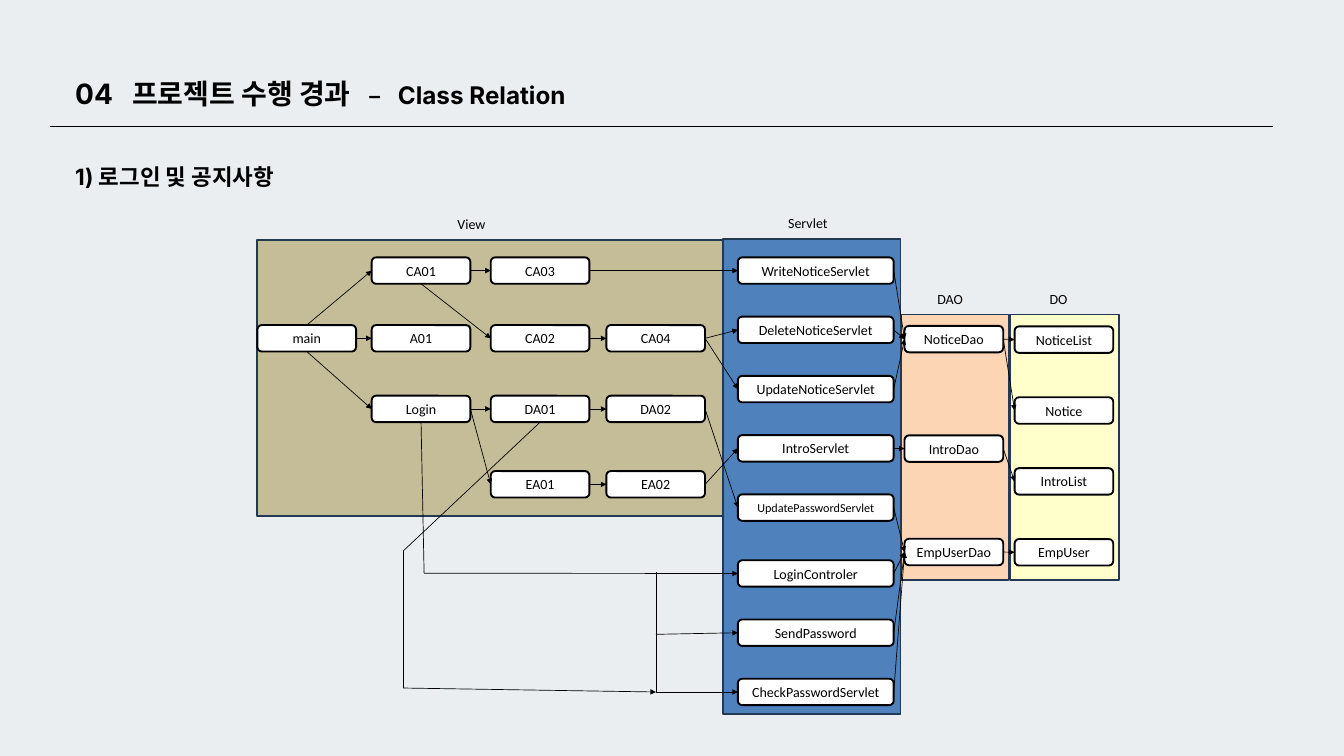
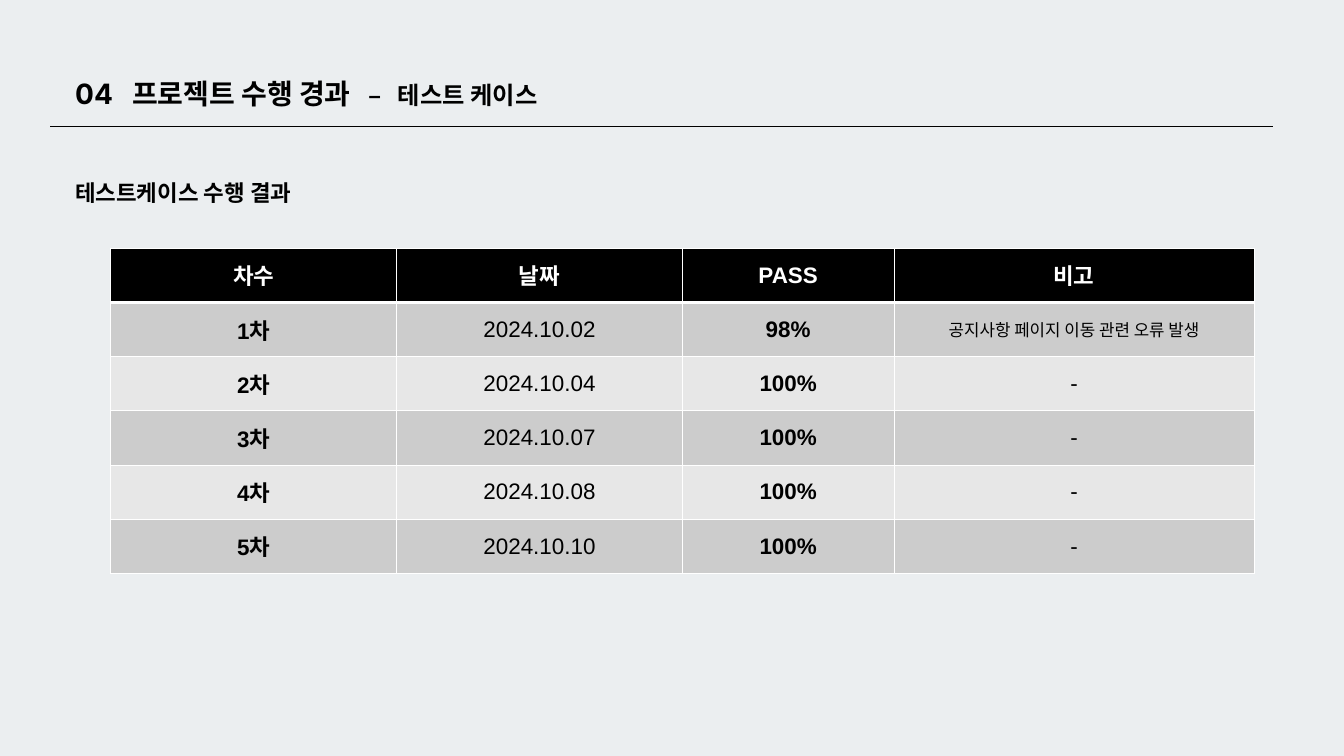
from dataclasses import dataclass
from typing import Any, NamedTuple

from lxml import etree
from pptx import Presentation
from pptx.dml.color import RGBColor
from pptx.enum.shapes import MSO_CONNECTOR, MSO_SHAPE
from pptx.enum.text import MSO_ANCHOR, MSO_AUTO_SIZE, PP_ALIGN
from pptx.oxml.ns import qn
from pptx.util import Cm, Pt

LINE = MSO_CONNECTOR.STRAIGHT
RECT = MSO_SHAPE.RECTANGLE
ROUND = MSO_SHAPE.ROUNDED_RECTANGLE
TOP = MSO_ANCHOR.TOP
MID = MSO_ANCHOR.MIDDLE
LEFT = PP_ALIGN.LEFT
MIDST = PP_ALIGN.CENTER
FIXED = MSO_AUTO_SIZE.NONE

UP, WEST, DOWN, EAST = range(4)
Point = tuple[float, float]
End = str | Point


@dataclass(frozen=True)
class Theme:
    back: str = "EBEEF0"
    ink: str = "000000"
    white: str = "FFFFFF"
    edge: str = "233953"
    view: str = "C4BD97"
    serve: str = "4F81BD"
    dao: str = "FCD5B5"
    data: str = "FFFFCC"
    bands: tuple[str, str] = ("CCCCCC", "E7E7E7")
    head: str = "Inter"
    node: str = "Calibri"
    grid: str = "Arial"
    title: int = 30
    topic: int = 26
    sub: int = 24
    cell: int = 24
    note: int = 18
    label: int = 15
    small: int = 13
    lead: int = 42
    thin: float = 0.75
    thick: float = 2


THEME = Theme()


class Area(NamedTuple):
    x: float
    y: float
    w: float
    h: float

    def cm(self) -> list[Cm]:
        return [Cm(v) for v in self]


@dataclass(frozen=True)
class Panel:
    label: str
    tag: Area
    area: Area
    fill: str


@dataclass(frozen=True)
class Node:
    name: str
    x: float
    y: float
    w: float = 3.73
    size: int = THEME.label


@dataclass(frozen=True)
class Link:
    start: End
    end: End
    side: int = EAST
    arrow: bool = True


PANELS = [
    Panel("View", Area(17.04, 8.03, 1.91, 0.89), Area(9.73, 9.07, 17.6, 10.44), THEME.view),
    Panel("DAO", Area(35.18, 10.85, 2.39, 0.89), Area(34.06, 11.89, 4.06, 10.03), THEME.dao),
    Panel("DO", Area(39.42, 10.85, 2.39, 0.89), Area(38.18, 11.89, 4.11, 10.03), THEME.data),
    Panel("Servlet", Area(29.54, 8, 4.75, 0.89), Area(27.33, 9.04, 6.71, 17.96), THEME.serve),
]

VIEW_X = (9.73, 14.05, 18.55, 22.92)
VIEWS = [
    (9.73, [None, "CA01", "CA03"]),
    (12.29, ["main", "A01", "CA02", "CA04"]),
    (14.96, [None, "Login", "DA01", "DA02"]),
    (17.81, [None, None, "EA01", "EA02"]),
]
SERVE_X, SERVE_W, SERVE_GAP = 27.89, 5.89, 2.24
SERVES = [
    (9.73, ["WriteNoticeServlet", "DeleteNoticeServlet", "UpdateNoticeServlet",
            "IntroServlet", "UpdatePasswordServlet"]),
    (21.18, ["LoginControler", "SendPassword", "CheckPasswordServlet"]),
]
DAOS = [("NoticeDao", 12.32), ("IntroDao", 16.46), ("EmpUserDao", 20.37)]
DATA = ["NoticeList", "Notice", "IntroList", "EmpUser"]

TURN, FORK = (16.03, 21.67), (24.79, 26.16)
BEND, BASE = (15.24, 20.83), (15.24, 26.01)
LINKS = [
    Link("main", "CA01", UP),
    Link("main", "A01"),
    Link("main", "Login", DOWN),
    Link("CA01", "CA03"),
    Link("CA01", "CA02", DOWN),
    Link("CA02", "CA04"),
    Link("CA03", "WriteNoticeServlet"),
    Link("CA04", "DeleteNoticeServlet"),
    Link("CA04", "UpdateNoticeServlet"),
    Link("Login", "DA01"),
    Link("Login", "EA01"),
    Link("DA01", "DA02"),
    Link("EA01", "EA02"),
    Link("DA02", "UpdatePasswordServlet"),
    Link("EA02", "IntroServlet"),
    Link("Login", TURN, DOWN, False),
    Link(TURN, "LoginControler"),
    Link((24.79, 21.62), FORK, arrow=False),
    Link((24.79, 23.98), "SendPassword"),
    Link(FORK, "CheckPasswordServlet"),
    Link("DA01", BEND, DOWN, False),
    Link(BEND, BASE, arrow=False),
    Link(BASE, FORK),
    *[Link(f"{n}NoticeServlet", "NoticeDao") for n in ("Write", "Delete", "Update")],
    Link("IntroServlet", "IntroDao"),
    *[Link(n, "EmpUserDao") for n in ("UpdatePasswordServlet", *SERVES[1][1])],
    Link("NoticeDao", "NoticeList"),
    Link("NoticeDao", "Notice"),
    Link("IntroDao", "IntroList"),
    Link("EmpUserDao", "EmpUser"),
]

HEADS = ["차수", "날짜", "PASS", "비고"]
TESTS = [
    ("2024.10.02", "98%", "공지사항 페이지 이동 관련 오류 발생"),
    ("2024.10.04", "100%", "-"),
    ("2024.10.07", "100%", "-"),
    ("2024.10.08", "100%", "-"),
    ("2024.10.10", "100%", "-"),
]
WIDTHS = (10.8, 10.8, 8, 13.61)
ROW_H = 2.05


def tint(code: str) -> RGBColor:
    return RGBColor.from_string(code)


def put(item: Any, values: dict[str, Any]) -> None:
    for key, value in values.items():
        setattr(item, key, value)


def write(para: Any, text: str, font: str, size: int, bold: bool = False,
          color: str = THEME.ink) -> None:
    run = para.add_run()
    run.text = text
    put(run.font, {"name": font, "size": Pt(size), "bold": bold})
    run.font.color.rgb = tint(color)


def flush(frame: Any) -> Any:
    put(frame, {"margin_left": 0, "margin_right": 0, "margin_top": 0, "margin_bottom": 0,
                "word_wrap": True, "auto_size": FIXED, "vertical_anchor": TOP})
    para = frame.paragraphs[0]
    put(para, {"line_spacing": Pt(THEME.lead), "alignment": LEFT})
    return para


def add_line(slide: Any, start: Point, end: Point, arrow: bool = False) -> Any:
    line = slide.shapes.add_connector(LINE, *[Cm(v) for v in (*start, *end)])
    line.line.color.rgb = tint(THEME.ink)
    line.line.width = Pt(THEME.thin)
    props = line.element.spPr
    if arrow:
        etree.SubElement(props.find(qn("a:ln")), qn("a:tailEnd"), type="triangle")
    etree.SubElement(props, qn("a:effectLst"))
    return line


def add_page(deck: Any, topic: str, head: Area, sub: str, place: Area) -> Any:
    slide = deck.slides.add_slide(deck.slide_layouts[5])
    title = slide.shapes.title
    put(title, dict(zip(("left", "top", "width", "height"), head.cm())))
    para = title.text_frame.paragraphs[0]
    stops = etree.SubElement(para._p.get_or_add_pPr(), qn("a:tabLst"))
    for stop in (2.15, 11.1, 12.2):
        etree.SubElement(stops, qn("a:tab"), pos=str(int(Cm(stop))), algn="l")
    flush(title.text_frame)
    write(para, "04\t프로젝트 수행 경과", THEME.head, THEME.title, True)
    write(para, f"\t–\t{topic}", THEME.head, THEME.topic, True)
    add_line(slide, (1.9, 4.78), (48.1, 4.78))
    box = slide.shapes.add_textbox(*place.cm())
    write(flush(box.text_frame), sub, THEME.head, THEME.sub, True)
    return slide


def add_box(slide: Any, kind: Any, area: Area, fill: str, edge: str) -> Any:
    box = slide.shapes.add_shape(kind, *area.cm())
    box.shadow.inherit = False
    box.fill.solid()
    box.fill.fore_color.rgb = tint(fill)
    box.line.color.rgb = tint(edge)
    box.line.width = Pt(THEME.thick)
    return box


def add_node(slide: Any, node: Node) -> Any:
    box = add_box(slide, ROUND, Area(node.x, node.y, node.w, 1), THEME.white, THEME.ink)
    put(box.text_frame, {"word_wrap": True, "vertical_anchor": MID})
    para = box.text_frame.paragraphs[0]
    para.alignment = MIDST
    write(para, node.name, THEME.node, node.size)
    return box


def add_link(slide: Any, link: Link, boxes: dict[str, Any]) -> None:
    spots = [(0, 0) if isinstance(p, str) else p for p in (link.start, link.end)]
    line = add_line(slide, *spots, link.arrow)
    if isinstance(link.start, str):
        line.begin_connect(boxes[link.start], link.side)
    if isinstance(link.end, str):
        line.end_connect(boxes[link.end], WEST)


def list_nodes() -> list[Node]:
    nodes = [Node(name, x, y) for y, names in VIEWS
             for x, name in zip(VIEW_X, names) if name]
    for top, names in SERVES:
        for i, name in enumerate(names):
            size = THEME.small if name == "UpdatePasswordServlet" else THEME.label
            nodes.append(Node(name, SERVE_X, top + i * SERVE_GAP, SERVE_W, size))
    nodes += [Node(name, 34.19, y) for name, y in DAOS]
    nodes += [Node(name, 38.35, 12.34 + i * 2.68) for i, name in enumerate(DATA)]
    return nodes


def draw_map(slide: Any) -> None:
    for panel in PANELS:
        add_box(slide, RECT, panel.area, panel.fill, THEME.edge)
    boxes = {node.name: add_node(slide, node) for node in list_nodes()}
    for link in LINKS:
        add_link(slide, link, boxes)
    for panel in PANELS:
        tag = slide.shapes.add_textbox(*panel.tag.cm())
        tag.text_frame.word_wrap = True
        write(tag.text_frame.paragraphs[0], panel.label, THEME.node, THEME.label)


def add_edges(cell: Any, row: int) -> None:
    props = cell._tc.get_or_add_tcPr()
    for side in "LRTB":
        bold = (side, row) in (("B", 0), ("T", 1))
        edge = etree.SubElement(props, qn(f"a:ln{side}"), w=str(int(Pt(3 if bold else 1))))
        fill = etree.SubElement(edge, qn("a:solidFill"))
        etree.SubElement(fill, qn("a:srgbClr"), val=THEME.white)


def draw_table(slide: Any) -> None:
    rows = [HEADS] + [(f"{i}차", *test) for i, test in enumerate(TESTS, 1)]
    area = Area(4.19, 9.38, sum(WIDTHS), ROW_H * len(rows))
    table = slide.shapes.add_table(len(rows), len(HEADS), *area.cm()).table
    put(table, {"first_row": False, "horz_banding": False})
    for col, width in zip(table.columns, WIDTHS):
        col.width = Cm(width)
    for r, row in enumerate(rows):
        table.rows[r].height = Cm(ROW_H)
        for c, text in enumerate(row):
            cell = table.cell(r, c)
            add_edges(cell, r)
            cell.vertical_anchor = MID
            cell.fill.solid()
            cell.fill.fore_color.rgb = tint(THEME.bands[(r - 1) % 2] if r else THEME.ink)
            para = cell.text_frame.paragraphs[0]
            para.alignment = MIDST
            size = THEME.note if (r, c) == (1, 3) else THEME.cell
            write(para, text, THEME.grid, size, r == 0 or c in (0, 2),
                  THEME.ink if r else THEME.white)


def main() -> None:
    deck = Presentation()
    put(deck, {"slide_width": Cm(50.8), "slide_height": Cm(28.58)})
    back = deck.slide_master.background.fill
    back.solid()
    back.fore_color.rgb = tint(THEME.back)
    draw_map(add_page(deck, "Class Relation", Area(2.84, 2.67, 23.6, 2.87),
                      "1) 로그인 및 공지사항", Area(2.84, 5.69, 23.6, 1.32)))
    draw_table(add_page(deck, "테스트 케이스", Area(2.84, 2.67, 20.85, 1.37),
                        "테스트케이스 수행 결과", Area(2.84, 6.3, 20.85, 1.37)))
    deck.save("out.pptx")


if __name__ == "__main__":
    main()
